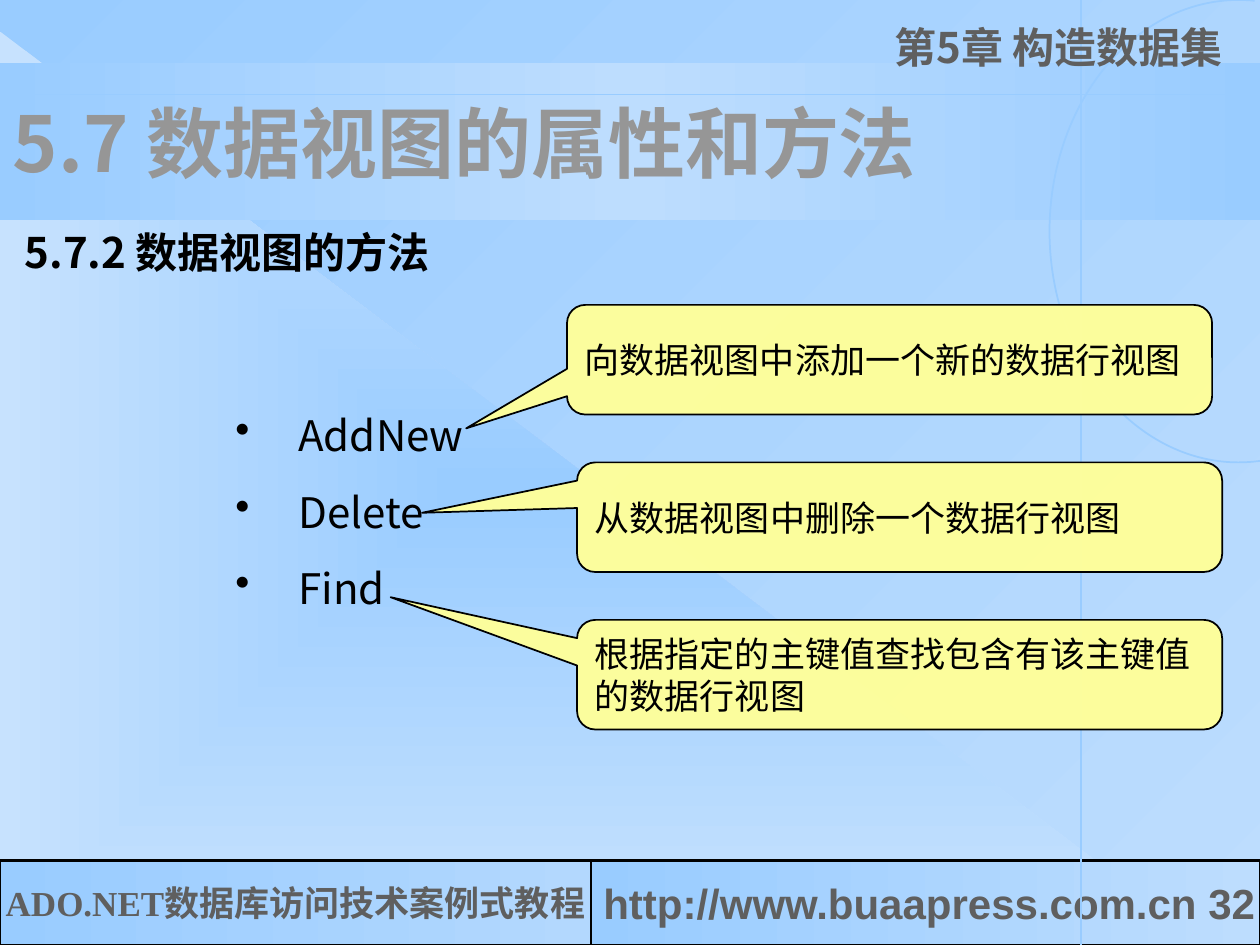
from dataclasses import dataclass

from lxml import etree
from pptx import Presentation
from pptx.dml.color import RGBColor as Rgb
from pptx.enum.shapes import MSO_CONNECTOR as Connector, MSO_SHAPE as Shape
from pptx.enum.text import MSO_ANCHOR as Anchor, MSO_AUTO_SIZE as AutoSize, PP_ALIGN as Align
from pptx.oxml import parse_xml
from pptx.oxml.ns import nsdecls, qn
from pptx.util import Inches, Pt


@dataclass(frozen=True)
class Theme:
    deep: str = "99CCFF"
    middle: str = "B3D8FE"
    light: str = "BDDDFE"
    pale: str = "C7E2FE"
    note: str = "FFFF99"
    ink: str = "000000"
    muted: str = "5F5F5F"
    heading: str = "969696"
    sans: str = "Noto Sans CJK SC"
    serif: str = "Times New Roman"
    web: str = "Arial"
    title_size: int = 44
    body_size: int = 24
    note_size: int = 20


class SlideBuilder:
    def __init__(self, presentation, theme):
        self.theme = theme
        self.slide = presentation.slides.add_slide(presentation.slide_layouts[5])
        self.shapes = self.slide.shapes

    def gradient(self, owner, fill, colors, angle=None):
        """Even colour stops; no angle means a rectangular path from the centre."""
        fill.gradient()
        last = len(colors) - 1
        stops = "".join(
            f'<a:gs pos="{100000 * i // last}"><a:srgbClr val="{color}"/></a:gs>'
            for i, color in enumerate(colors))
        if angle is None:
            course = ('<a:path path="rect"><a:fillToRect l="50000" t="50000" '
                      'r="50000" b="50000"/></a:path>')
        else:
            course = f'<a:lin ang="{angle * 60000}" scaled="0"/>'
        previous = owner.element.find(".//" + qn("a:gradFill"))
        previous.getparent().replace(previous, parse_xml(
            f'<a:gradFill {nsdecls("a")} rotWithShape="1">'
            f"<a:gsLst>{stops}</a:gsLst>{course}</a:gradFill>"))

    def background(self, colors, angle):
        self.gradient(self.slide, self.slide.background.fill, colors, angle)

    def outline(self, shape, color, width):
        if color:
            shape.line.color.rgb = Rgb.from_string(color)
            shape.line.width = Pt(width)
        else:
            shape.line.fill.background()

    def preset(self, kind, box, line=None, width=1):
        shape = self.shapes.add_shape(kind, *map(Inches, box))
        shape.shadow.inherit = False
        self.outline(shape, line, width)
        return shape

    def panel(self, kind, box, colors, angle=None, line=None):
        shape = self.preset(kind, box, line, 1.5)
        self.gradient(shape, shape.fill, colors, angle)
        return shape

    def line(self, start, end, width):
        connector = self.shapes.add_connector(
            Connector.STRAIGHT, *map(Inches, (*start, *end)))
        self.outline(connector, self.theme.deep, width)
        etree.SubElement(connector.element.spPr, qn("a:effectLst"))

    def arc(self, box, start, end):
        shape = self.preset(Shape.ARC, box, self.theme.deep)
        shape.fill.background()
        # Angles are kept in 60000ths of a degree, adjustments in 100000ths
        shape.adjustments[0] = start * 0.6
        shape.adjustments[1] = end * 0.6

    def set_text(self, shape, lines, font, size, color, bold=False,
                 align=Align.LEFT, anchor=Anchor.MIDDLE, wrap=True):
        frame = shape.text_frame
        frame.text = "\n".join(lines)
        frame.word_wrap = wrap
        frame.vertical_anchor = anchor
        frame.auto_size = AutoSize.NONE
        for paragraph in frame.paragraphs:
            paragraph.alignment = align
            for run in paragraph.runs:
                run.font.name = font
                run.font.size = Pt(size)
                run.font.bold = bold
                run.font.color.rgb = Rgb.from_string(color)
                east_asian = etree.Element(qn("a:ea"), typeface=self.theme.sans)
                run._r.rPr.find(qn("a:latin")).addnext(east_asian)
        return frame

    def label(self, box, lines, color, bold=False, **style):
        shape = self.shapes.add_textbox(*map(Inches, box))
        return self.set_text(shape, lines, self.theme.sans, self.theme.body_size,
                             color, bold, anchor=Anchor.TOP, **style)

    def bullets(self, box, items):
        frame = self.label(box, items, self.theme.ink)
        for index, paragraph in enumerate(frame.paragraphs):
            if index:
                paragraph.space_before = Pt(15)
            properties = paragraph._p.get_or_add_pPr()
            properties.set("marL", str(Inches(0.5)))
            properties.set("indent", str(-Inches(0.5)))
            etree.SubElement(properties, qn("a:buChar"), char="•")

    def callout(self, box, tip, text):
        shape = self.preset(Shape.ROUNDED_RECTANGULAR_CALLOUT, box, self.theme.ink)
        shape.fill.solid()
        shape.fill.fore_color.rgb = Rgb.from_string(self.theme.note)
        color = shape.element.spPr.find(qn("a:solidFill"))[0]
        etree.SubElement(color, qn("a:alpha"), val="96000")
        # The tip is measured from the middle of the box, as a share of its size
        left, top, width, height = box
        shape.adjustments[0] = (tip[0] - left) / width - 0.5
        shape.adjustments[1] = (tip[1] - top) / height - 0.5
        self.set_text(shape, [text], self.theme.serif, self.theme.note_size, self.theme.ink)

    def title(self, box, text):
        shape = self.shapes.title
        shape.left, shape.top, shape.width, shape.height = map(Inches, box)
        self.shapes._spTree.append(shape.element)  # in front of the title band
        self.set_text(shape, [text], self.theme.sans, self.theme.title_size,
                      self.theme.heading, True)


def main():
    presentation = Presentation()
    presentation.slide_width, presentation.slide_height = Inches(10), Inches(7.5)
    theme = Theme()
    builder = SlideBuilder(presentation, theme)

    # Backdrop and title band
    title_box = (0, 0.5, 10, 1.25)
    builder.background((theme.light, theme.deep), 225)
    builder.panel(Shape.RIGHT_TRIANGLE, (0, 0.25, 9.58, 7.25), (theme.deep, theme.pale))
    builder.panel(Shape.RECTANGLE, title_box, (theme.deep, theme.light, theme.deep), 180)

    # Footer
    split, footer_top, footer_height = 4.69, 6.83, 0.67
    book = builder.panel(Shape.RECTANGLE, (0, footer_top, split, footer_height),
                         (theme.middle, theme.deep), 180, theme.ink)
    builder.set_text(book, ["ADO.NET数据库访问技术案例式教程"], theme.serif, theme.note_size,
                     theme.muted, True, align=Align.CENTER, wrap=False)
    site = builder.panel(Shape.RECTANGLE, (split, footer_top, 10 - split, footer_height),
                         (theme.deep, theme.light), 0, theme.ink)
    builder.set_text(site, ["http://www.buaapress.com.cn 32"], theme.web, theme.body_size,
                     theme.muted, True, wrap=False)

    # Decorative lines
    builder.line((0, 0.75), (10, 0.75), 1)
    builder.line((8.58, 0), (8.58, 7.5), 1.5)
    builder.arc((8.33, 0, 3, 3.67), 80, 274)

    # Chapter, title and section
    chapter = builder.label((7, 0, 3, 1.14), ["第5章 构造数据集"], theme.muted, True)
    chapter.paragraphs[0].line_spacing = 1.3
    builder.title(title_box, "5.7 数据视图的属性和方法")
    builder.label((0.02, 1.75, 3.49, 0.5), ["5.7.2 数据视图的方法"], theme.ink, True,
                  align=Align.RIGHT, wrap=False)

    # Methods and their explanations
    methods = (
        ("AddNew", 4.5, (3.7, 3.4), "向数据视图中添加一个新的数据行视图"),
        ("Delete", 4.58, (3.35, 4.07), "从数据视图中删除一个数据行视图"),
        ("Find", 4.58, (3.1, 4.74), "根据指定的主键值查找包含有该主键值的数据行视图"),
    )
    builder.bullets((1.77, 3.2, 3.39, 1.72), [name for name, *_ in methods])
    for index, (_, left, tip, text) in enumerate(methods):
        builder.callout((left, 2.42 + 1.25 * index, 5.12, 0.87), tip, text)

    presentation.save("out.pptx")


if __name__ == "__main__":
    main()
